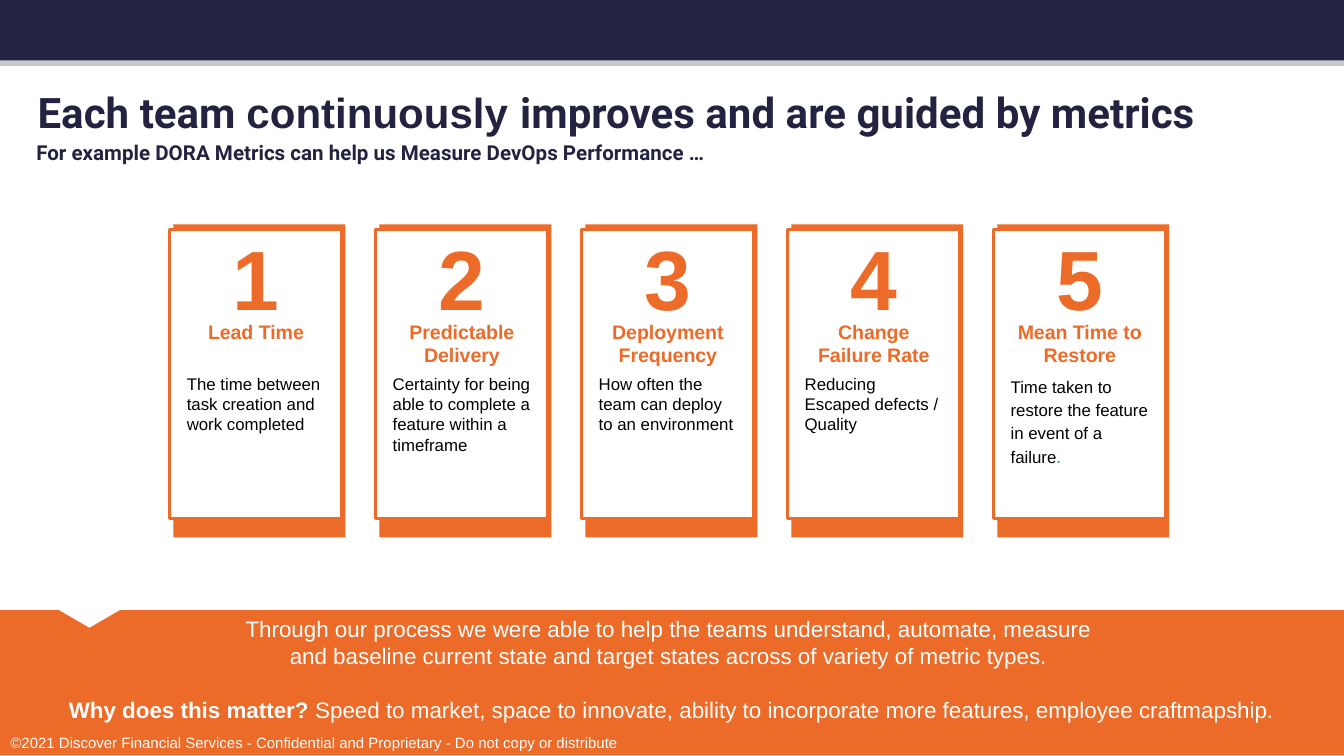
from dataclasses import dataclass

from pptx import Presentation
from pptx.dml.color import RGBColor
from pptx.enum import shapes, text
from pptx.util import Inches, Pt

# Content
TITLE = [("Each team ", "Roboto"), ("continuously ", "Arial"),
         ("improves and are guided by metrics", "Roboto")]
SUBTITLE = "For example DORA Metrics can help us Measure DevOps Performance …"
METRICS = [
    ("Lead Time", "The time between task creation and work completed"),
    ("Predictable Delivery",
     "Certainty for being able to complete a feature within a timeframe"),
    ("Deployment Frequency", "How often the team can deploy to an environment"),
    ("Change Failure Rate", "Reducing Escaped defects / Quality"),
    ("Mean Time to Restore",
     "Time taken to restore the feature in event of a failure"),
]
SUMMARY = [
    "Through our process we were able to help the teams understand, automate, measure ",
    "and baseline current state and target states across of variety of metric types. ",
]
QUESTION = "Why does this matter? "
ANSWER = ("Speed to market, space to innovate, ability to incorporate more features, "
          "employee craftmapship.")
COPYRIGHT = ("©2021 Discover Financial Services - Confidential and Proprietary - "
             "Do not copy or distribute")


@dataclass(frozen=True)
class Theme:
    navy: str = "232241"
    grey: str = "C7C8CF"
    orange: str = "EC6B29"
    teal: str = "1D7E74"
    white: str = "FFFFFF"
    black: str = "000000"
    heading: str = "Roboto"
    body: str = "Arial"
    title: float = 22.5
    subtitle: float = 11
    number: float = 45
    label: float = 10.5
    detail: float = 9
    banner: float = 12
    banner_line: float = 14.4
    footer: float = 8


T = Theme()
LEFT, CENTER = text.PP_ALIGN.LEFT, text.PP_ALIGN.CENTER
TOP, MIDDLE = text.MSO_ANCHOR.TOP, text.MSO_ANCHOR.MIDDLE
RECT = shapes.MSO_SHAPE.RECTANGLE


def add_box(parent, kind, x, y, w, h, fill, line=None):
    sp = parent.add_shape(kind, Inches(x), Inches(y), Inches(w), Inches(h))
    sp.shadow.inherit = False
    sp.fill.solid()
    sp.fill.fore_color.rgb = RGBColor.from_string(fill)
    if line:
        sp.line.color.rgb = RGBColor.from_string(line)
        sp.line.width = Pt(1.5)
    else:
        sp.line.fill.background()
    return sp


def set_frame(sp, insets, anchor):
    tf = sp.text_frame
    tf.word_wrap = True
    tf.auto_size = text.MSO_AUTO_SIZE.NONE
    tf.vertical_anchor = anchor
    (tf.margin_left, tf.margin_top,
     tf.margin_right, tf.margin_bottom) = map(Inches, insets)
    return tf


def add_run(p, words, size, color, bold=False, font=T.body):
    r = p.add_run()
    r.text = words
    r.font.size, r.font.bold, r.font.name = Pt(size), bold, font
    r.font.color.rgb = RGBColor.from_string(color)


def add_text(parent, x, y, w, h, insets, words, size, color, bold=False,
             font=T.body, align=LEFT, anchor=TOP):
    sp = parent.add_textbox(Inches(x), Inches(y), Inches(w), Inches(h))
    p = set_frame(sp, insets, anchor).paragraphs[0]
    p.alignment = align
    add_run(p, words, size, color, bold, font)
    return p


# Widescreen 16:9 slide
prs = Presentation()
prs.slide_width = Inches(10)
prs.slide_height = prs.slide_width * 9 // 16
s = prs.slides.add_slide(prs.slide_layouts[5])

# Header bar
add_box(s.shapes, RECT, 0, 0, 10, 0.49, T.grey)
add_box(s.shapes, RECT, 0, 0, 10, 0.45, T.navy)

# Title and subtitle
HEAD_INSETS = (0, 0.1, 0, 0)
title = s.shapes.title
title.left, title.top = Inches(0.28), Inches(0.49)
title.width, title.height = Inches(9.45), Inches(0.64)
p = set_frame(title, HEAD_INSETS, MIDDLE).paragraphs[0]
p.alignment, p.line_spacing = LEFT, 0.85
for words, font in TITLE:
    add_run(p, words, T.title, T.navy, True, font)
p = add_text(s.shapes, 0.27, 0.78, 9.45, 0.64, HEAD_INSETS, SUBTITLE,
             T.subtitle, T.navy, True, T.heading, anchor=MIDDLE)
p.line_spacing = 0.85

# Bottom banner with notch
banner = add_box(s.shapes, RECT, 0, 4.54, 10, 1.08, T.orange)
tf = set_frame(banner, (0.44, 0.04, 0.44, 0.04), TOP)
p = tf.paragraphs[0]
add_run(p, SUMMARY[0], T.banner, T.white)
p.add_line_break()
add_run(p, SUMMARY[1], T.banner, T.white)
p = tf.add_paragraph()
p.space_before = Pt(T.banner_line)
add_run(p, QUESTION, T.banner, T.white, True)
add_run(p, ANSWER, T.banner, T.white)
for p in tf.paragraphs:
    p.alignment, p.line_spacing = CENTER, Pt(T.banner_line)
notch = add_box(s.shapes, shapes.MSO_SHAPE.ISOSCELES_TRIANGLE,
                0.44, 4.54, 0.45, 0.13, T.white)
notch.rotation = 180

# Metric cards, evenly spaced
FIRST, LAST = 1.26, 7.39
CARD_W, TEXT_W = 1.28, 1.17
PAD = (0.07,) * 4
pitch = (LAST - FIRST) / (len(METRICS) - 1)
for i, (label, detail) in enumerate(METRICS):
    x = FIRST + i * pitch
    tx = x + 0.06
    card = s.shapes.add_group_shape().shapes
    add_box(card, RECT, x + 0.03, 1.67, CARD_W, 2.33, T.orange)
    add_box(card, RECT, x, 1.71, CARD_W, 2.15, T.white, T.orange)
    add_text(card, tx, 2.31, TEXT_W, 0.45, PAD, label, T.label, T.orange, True,
             align=CENTER)
    p = add_text(card, tx, 2.71, TEXT_W, 0.62, PAD, detail, T.detail, T.black)
    if i == len(METRICS) - 1:
        p.line_spacing = 1.15
        add_run(p, ".", T.detail, T.teal)
    add_text(card, tx, 1.81, TEXT_W, 0.5, PAD, str(i + 1), T.number, T.orange, True,
             align=CENTER, anchor=MIDDLE)

# Copyright line
add_text(s.shapes, -0.02, 5.41, 5, 0.24, (0.1, 0.05, 0.1, 0.05), COPYRIGHT,
         T.footer, T.white)

prs.save("out.pptx")
